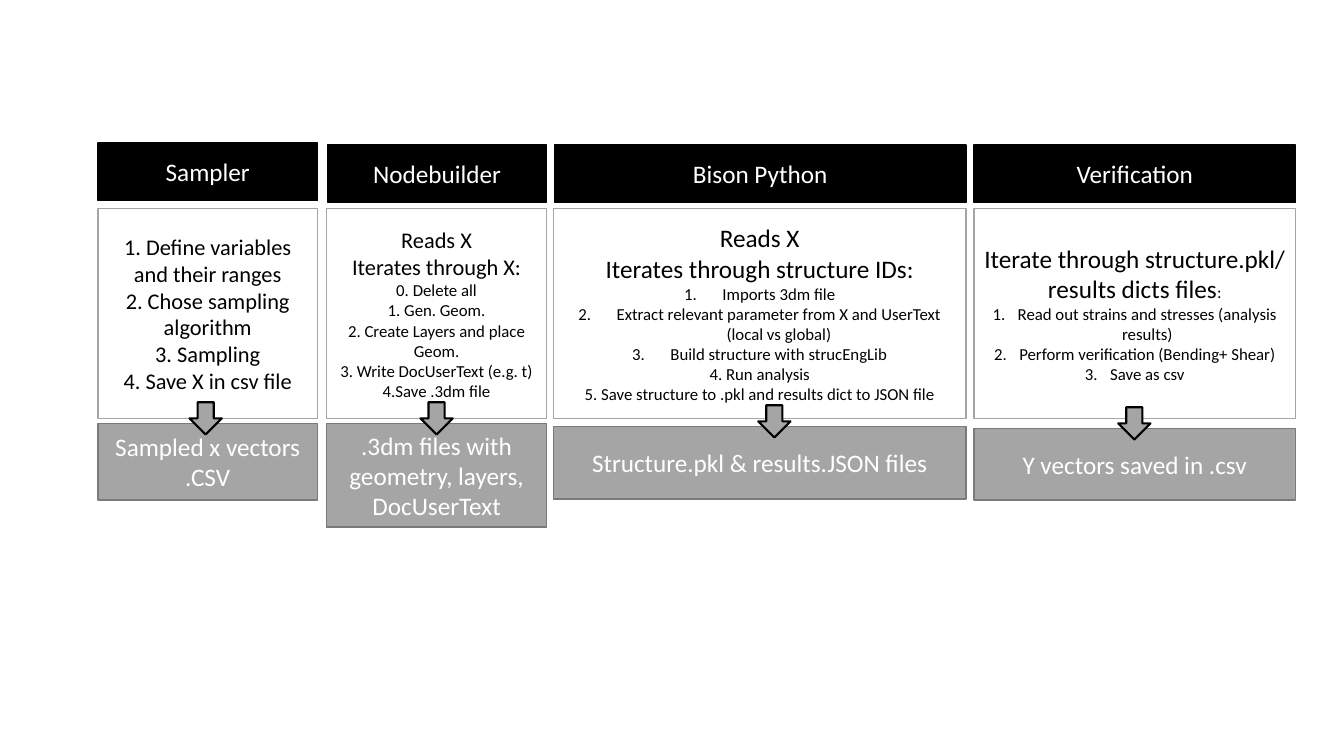
import dataclasses

import lxml.etree
import pptx
import pptx.dml.color
import pptx.enum.shapes
import pptx.enum.text
import pptx.oxml.ns
import pptx.util

Inches = pptx.util.Inches
SHAPE = pptx.enum.shapes.MSO_SHAPE


@dataclasses.dataclass(frozen=True)
class Theme:
    font: str = "Calibri"
    black: str = "000000"
    white: str = "FFFFFF"
    gray: str = "A5A5A5"
    edge: str = "7A7A7A"
    big: int = 18
    mid: int = 16
    small: int = 12


THEME = Theme()


def color(code):
    return pptx.dml.color.RGBColor.from_string(code)


def line(text, size, indent=0):
    """One paragraph: its runs and the indent of its number, if any."""
    return [(text, size)], indent


def number(para, indent):
    props = para._p.get_or_add_pPr()
    props.set("marL", str(Inches(indent)))
    props.set("indent", str(-Inches(indent)))
    tag = pptx.oxml.ns.qn("a:buAutoNum")
    lxml.etree.SubElement(props, tag, type="arabicPeriod")


def write(frame, lines, ink):
    frame.word_wrap = True
    frame.vertical_anchor = pptx.enum.text.MSO_ANCHOR.MIDDLE
    for i, (runs, indent) in enumerate(lines):
        para = frame.paragraphs[0] if i == 0 else frame.add_paragraph()
        para.alignment = pptx.enum.text.PP_ALIGN.CENTER
        if indent:
            number(para, indent)
        for text, size in runs:
            run = para.add_run()
            run.text = text
            run.font.name = THEME.font
            run.font.size = pptx.util.Pt(size)
            run.font.color.rgb = color(ink)


def draw(slide, kind, box, fill, edge, width=1):
    shape = slide.shapes.add_shape(kind, *map(Inches, box))
    shape.shadow.inherit = False
    shape.fill.solid()
    shape.fill.fore_color.rgb = color(fill)
    shape.line.color.rgb = color(edge)
    shape.line.width = pptx.util.Pt(width)
    return shape


def panel(slide, box, fill, edge, ink, lines):
    shape = draw(slide, SHAPE.RECTANGLE, box, fill, edge)
    write(shape.text_frame, lines, ink)


def stage(slide, box, stage):
    """Head, steps, output and arrow of one stage, stacked in its box."""
    left, top, width, height = box
    # Head
    panel(slide, (left + stage.shift, top + stage.drop, width - stage.shift, 0.57),
          THEME.black, THEME.black, THEME.white, [line(stage.name, THEME.big)])
    # Output
    low = top + stage.out
    panel(slide, (left, low, width, height - stage.out),
          THEME.gray, THEME.edge, THEME.white,
          [line(text, THEME.big) for text in stage.result])
    # Steps
    panel(slide, (left, top + 0.65, width, 2.08),
          THEME.white, THEME.gray, THEME.black, stage.steps)
    # Arrow
    side = 0.32
    draw(slide, SHAPE.DOWN_ARROW, (left + stage.arrow, low - 0.21, side, side),
         THEME.gray, THEME.black, 1.5)


@dataclasses.dataclass
class Stage:
    name: str
    left: float
    width: float
    height: float
    out: float     # top of the output, from the top of the stage
    arrow: float   # left of the arrow, from the left of the stage
    steps: list
    result: list
    drop: float = 0.02
    shift: float = 0


BIG, MID, SMALL = THEME.big, THEME.mid, THEME.small

STAGES = [
    Stage("Sampler", 0.97, 2.18, 3.54, 2.78, 0.91, [
        line("1. Define variables and their ranges", MID),
        line("2. Chose sampling algorithm", MID),
        line("3. Sampling", MID),
        line("4. Save X in csv file", MID),
    ], ["Sampled x vectors", ".CSV"], drop=0),
    Stage("Nodebuilder", 3.24, 2.18, 3.81, 2.78, 0.93, [
        line("Reads X", MID),
        line("Iterates through X:", MID),
        line("0. Delete all", SMALL),
        line("1. Gen. Geom.", SMALL),
        line("2. Create Layers and place Geom.", SMALL),
        line("3. Write DocUserText (e.g. t)", SMALL),
        line("4.Save .3dm file", SMALL),
    ], [".3dm files with geometry, layers, DocUserText"], shift=0.01),
    Stage("Bison Python", 5.49, 4.09, 3.53, 2.81, 2.03, [
        line("Reads X", BIG),
        line("Iterates through structure IDs:", BIG),
        line("Imports 3dm file", SMALL, 0.38),
        line("Extract relevant parameter from X and UserText (local vs global)",
             SMALL, 0.38),
        line("Build structure with strucEngLib", SMALL, 0.38),
        line("4. Run analysis", SMALL),
        line("5. Save structure to .pkl and results dict to JSON file", SMALL),
    ], ["Structure.pkl & results.JSON files"], shift=0.01),
    Stage("Verification", 9.66, 3.19, 3.54, 2.83, 1.43, [
        ([("Iterate through structure.pkl/ results dicts files", BIG),
          (":", SMALL)], 0),
        line("Read out strains and stresses (analysis results)", SMALL, 0.25),
        line("Perform verification (Bending+ Shear)", SMALL, 0.25),
        line("Save as csv", SMALL, 0.25),
    ], ["Y vectors saved in .csv"]),
]


def main():
    deck = pptx.Presentation()
    deck.slide_width = Inches(13.33)
    deck.slide_height = Inches(7.5)
    slide = deck.slides.add_slide(deck.slide_layouts[6])
    for item in STAGES:
        stage(slide, (item.left, 1.42, item.width, item.height), item)
    deck.save("out.pptx")


if __name__ == "__main__":
    main()
